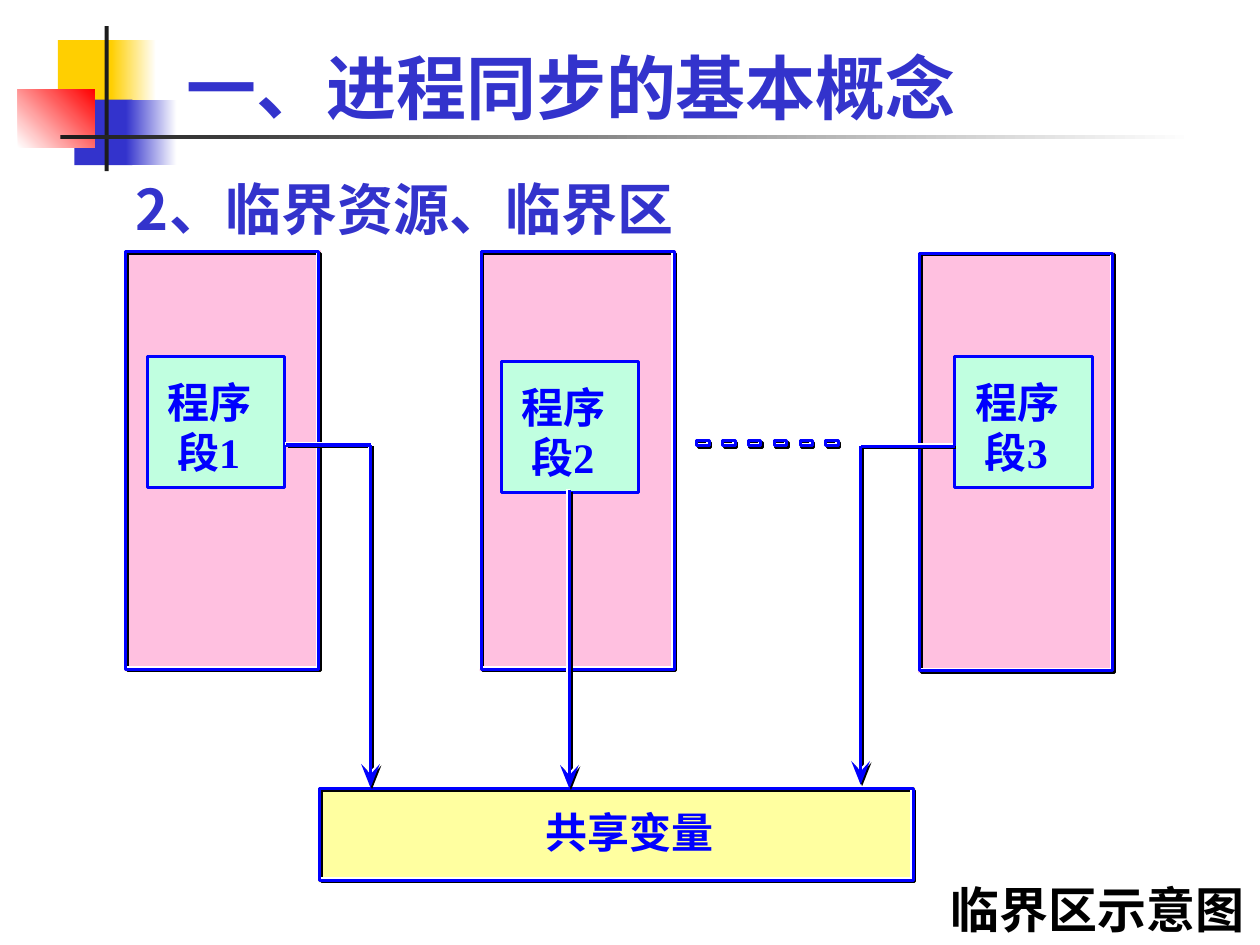
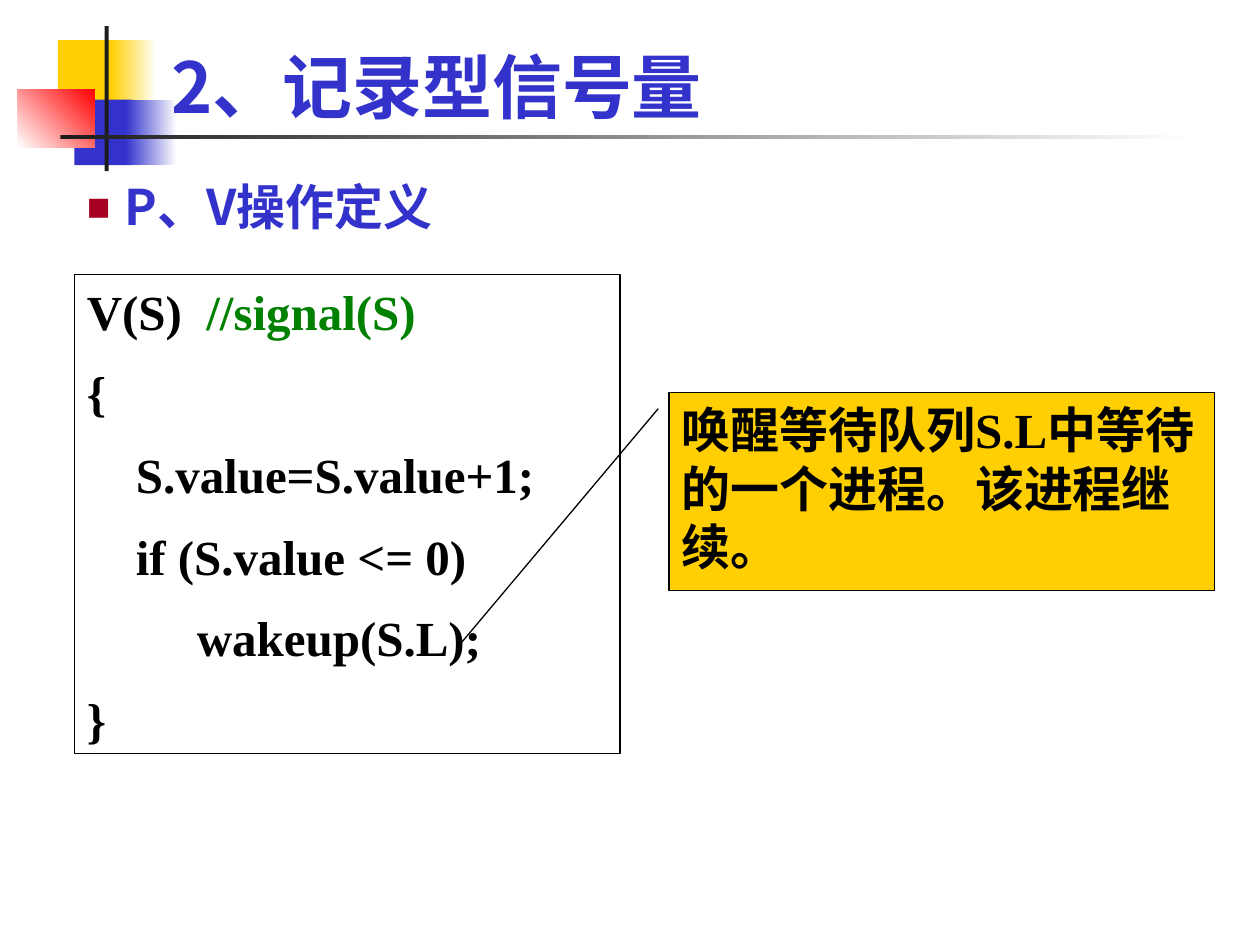
import lxml.etree
import pptx
import pptx.dml.color
import pptx.enum.shapes
import pptx.enum.text
import pptx.oxml.ns
import pptx.util

Cm = pptx.util.Cm
Pt = pptx.util.Pt
color = pptx.dml.color.RGBColor.from_string
qn = pptx.oxml.ns.qn
SHAPE = pptx.enum.shapes.MSO_SHAPE
ANCHOR = pptx.enum.text.MSO_ANCHOR

SANS = "Noto Sans CJK SC"
SERIF = "Times New Roman"
BLACK, WHITE, BLUE = "000000", "FFFFFF", "0000FF"
INDIGO, GOLD, GRAPHITE = "3333CC", "FFCF01", "1C1C1C"
PINK, MINT, YELLOW = "FFC0E0", "C0FFE0", "FFFFA0"
GREEN, CRIMSON = "008000", "A50021"
RELIEF = [(0.03, BLACK), (-0.03, WHITE), (0, BLUE)]


def paint(shape, fill=None, line=None, width=1.75):
    shape.shadow.inherit = False
    if fill:
        shape.fill.solid()
        shape.fill.fore_color.rgb = color(fill)
    else:
        shape.fill.background()
    if line:
        shape.line.color.rgb = color(line)
        shape.line.width = Pt(width)
    else:
        shape.line.fill.background()


def write(shape, text, size=28, text_color=BLACK, font=SERIF, anchor=ANCHOR.TOP,
          wrap=True, insets=(0.25, 0.13), before=0, after=0):
    frame = shape.text_frame
    frame.auto_size = pptx.enum.text.MSO_AUTO_SIZE.NONE
    frame.word_wrap = wrap
    frame.vertical_anchor = anchor
    frame.margin_left = frame.margin_right = Cm(insets[0])
    frame.margin_top = frame.margin_bottom = Cm(insets[1])
    for number, line in enumerate(text.split("\n")):
        paragraph = frame.add_paragraph() if number else frame.paragraphs[0]
        paragraph.alignment = pptx.enum.text.PP_ALIGN.LEFT
        paragraph.space_before = Pt(before)
        paragraph.space_after = Pt(after)
        statement, marker, comment = line.partition("//")
        for piece, piece_color in [(statement, text_color), (marker + comment, GREEN)]:
            if piece:
                run = paragraph.add_run()
                run.text = piece
                run.font.name = font
                run.font.size = Pt(size)
                run.font.bold = True
                run.font.color.rgb = color(piece_color)
                east_asian = lxml.etree.SubElement(run.font._element, qn("a:ea"))
                east_asian.set("typeface", SANS)


presentation = pptx.Presentation()
presentation.slide_width = Cm(25.4)
presentation.slide_height = Cm(19.05)
layout = presentation.slide_layouts[1]
slide = presentation.slides.add_slide(layout)

# The emblem and the title rule belong to the slide master.
emblem = slide.shapes.add_group_shape()
for left, top, width, height, start, end, angle in [
    (1.17, 0.81, 1.22, 1.32, GOLD, None, 0),
    (2.24, 0.81, 0.91, 1.32, GOLD, WHITE, 0),
    (1.5, 2.01, 1.17, 1.32, INDIGO, None, 0),
    (2.54, 2.01, 1.02, 1.32, INDIGO, WHITE, 0),
    (0.36, 1.8, 1.55, 1.17, WHITE, "FF0000", 45),
    (2.11, 0.53, 0.08, 2.92, GRAPHITE, None, 0),
    (1.22, 2.72, 22.86, 0.08, GRAPHITE, WHITE, 0),
]:
    block = emblem.shapes.add_shape(SHAPE.RECTANGLE, Cm(left), Cm(top), Cm(width), Cm(height))
    paint(block, fill=start)
    if end:
        block.fill.gradient()
        block.fill.gradient_angle = angle
        for stop, stop_color in zip(block.fill.gradient_stops, (start, end)):
            stop.color.rgb = color(stop_color)
for number, properties in enumerate(emblem.element.iter(qn("p:cNvPr")), 20):
    properties.set("id", str(number))
presentation.slide_master.shapes.element.insert(2, emblem.element)

title = slide.shapes.title
title.left, title.top, title.width, title.height = Cm(3.51), Cm(1.32), Cm(16.79), Cm(1.4)
write(title, "一、进程同步的基本概念", size=40, text_color=INDIGO, font=SANS, anchor=ANCHOR.BOTTOM)

subtitle = slide.placeholders[1]
subtitle.left, subtitle.top, subtitle.width, subtitle.height = Cm(2.49), Cm(3.33), Cm(15.49), Cm(1.68)
write(subtitle, "2、临界资源、临界区", size=32, text_color=INDIGO, font=SANS, anchor=ANCHOR.BOTTOM)
properties = subtitle.text_frame.paragraphs[0]._p.get_or_add_pPr()
properties.set("marL", "0")
properties.set("indent", "0")
lxml.etree.SubElement(properties, qn("a:buNone"))

processes = [(2.54, 5.08, 3.89, 8.41, PINK), (9.7, 5.08, 3.89, 8.41, PINK), (18.54, 5.11, 3.89, 8.41, PINK)]
shared_variable = (6.45, 15.9, 11.96, 1.85, YELLOW)
dashes = [(14.05 + 0.52 * number, 8.89, 0.25, 0.1, None) for number in range(6)]
for left, top, width, height, fill in processes + [shared_variable] + dashes:
    if fill:
        panel = slide.shapes.add_shape(
            SHAPE.RECTANGLE, Cm(left - 0.03), Cm(top - 0.03), Cm(width + 0.07), Cm(height + 0.07))
        paint(panel, fill=fill)
    for offset, line in RELIEF:
        outline = slide.shapes.add_shape(
            SHAPE.RECTANGLE, Cm(left + offset), Cm(top + offset), Cm(width), Cm(height))
        paint(outline, line=line)

for number, (left, top) in enumerate([(2.97, 7.19), (10.11, 7.29), (19.25, 7.19)], 1):
    section = slide.shapes.add_shape(SHAPE.RECTANGLE, Cm(left), Cm(top), Cm(2.77), Cm(2.64))
    paint(section, fill=MINT, line=BLUE)
    write(section, f"程序\n 段{number}", size=24, text_color=BLUE, insets=(0.41, 0.4))

label = slide.shapes.add_textbox(Cm(11), Cm(16.26), Cm(3.4), Cm(1.02))
write(label, "共享变量", size=24, text_color=BLUE, wrap=False, insets=(0, 0))

for route in [
    [(5.77, 8.97), (7.47, 8.97), (7.47, 15.88)],
    [(11.48, 9.88), (11.48, 15.9)],
    [(19.25, 9), (17.35, 9), (17.35, 15.82)],
]:
    tip_x, tip_y = route[-1]
    corners = route[:-1] + [(tip_x, tip_y - 0.18)]
    for offset, line in RELIEF:
        for (start_x, start_y), (end_x, end_y) in zip(corners, corners[1:]):
            connector = slide.shapes.add_connector(
                pptx.enum.shapes.MSO_CONNECTOR.STRAIGHT,
                Cm(start_x + offset), Cm(start_y + offset), Cm(end_x + offset), Cm(end_y + offset))
            connector.line.color.rgb = color(line)
            connector.line.width = Pt(1.75)
            lxml.etree.SubElement(connector.element.spPr, qn("a:effectLst"))
        head = [(Cm(tip_x + offset + x), Cm(tip_y + offset + y))
                for x, y in [(0, 0), (-0.19, -0.48), (0, -0.27), (0.19, -0.48)]]
        builder = slide.shapes.build_freeform(*head[0])
        builder.add_line_segments(head[1:], close=True)
        paint(builder.convert_to_shape(), fill=line)

caption = slide.shapes.add_textbox(Cm(18.92), Cm(17.6), Cm(6.48), Cm(1.45))
write(caption, "临界区示意图", font=SANS, wrap=False)

slide = presentation.slides.add_slide(layout)
title = slide.shapes.title
title.left, title.top, title.width, title.height = Cm(3.2), Cm(0.91), Cm(19.51), Cm(1.8)
write(title, "2、记录型信号量", size=40, text_color=INDIGO, font=SANS, anchor=ANCHOR.BOTTOM)

heading = slide.placeholders[1]
heading.left, heading.top, heading.width, heading.height = Cm(1.5), Cm(3.12), Cm(20.02), Cm(2.08)
write(heading, "P、V操作定义", text_color=INDIGO, font=SANS, anchor=ANCHOR.MIDDLE)
properties = heading.text_frame.paragraphs[0]._p.get_or_add_pPr()
properties.set("marL", str(Cm(0.76)))
properties.set("indent", str(-Cm(0.76)))
bullet_color = lxml.etree.SubElement(properties, qn("a:buClr"))
lxml.etree.SubElement(bullet_color, qn("a:srgbClr")).set("val", CRIMSON)
lxml.etree.SubElement(properties, qn("a:buSzPct")).set("val", "80000")
lxml.etree.SubElement(properties, qn("a:buChar")).set("char", "■")

code = slide.shapes.add_shape(SHAPE.RECTANGLE, Cm(1.5), Cm(5.54), Cm(11), Cm(9.65))
paint(code, line=BLACK, width=0.75)
write(code, "V(S)  //signal(S)\n{\nS.value=S.value+1;\nif (S.value <= 0)\nwakeup(S.L);\n}", before=7, after=6)
for paragraph, indent in zip(code.text_frame.paragraphs, [0, 0, 0.99, 0.99, 2.22, 0]):
    paragraph._p.get_or_add_pPr().set("marL", str(Cm(indent)))

callout = slide.shapes.add_shape(SHAPE.LINE_CALLOUT_2, Cm(13.49), Cm(7.92), Cm(11), Cm(3.99))
for number, value in enumerate([0.08, -0.02, 0.08, -0.02, 1.26, -0.38]):
    callout.adjustments[number] = value
paint(callout, fill=GOLD, line=BLACK, width=0.75)
write(callout, "唤醒等待队列S.L中等待的一个进程。该进程继续。")

presentation.save("out.pptx")
